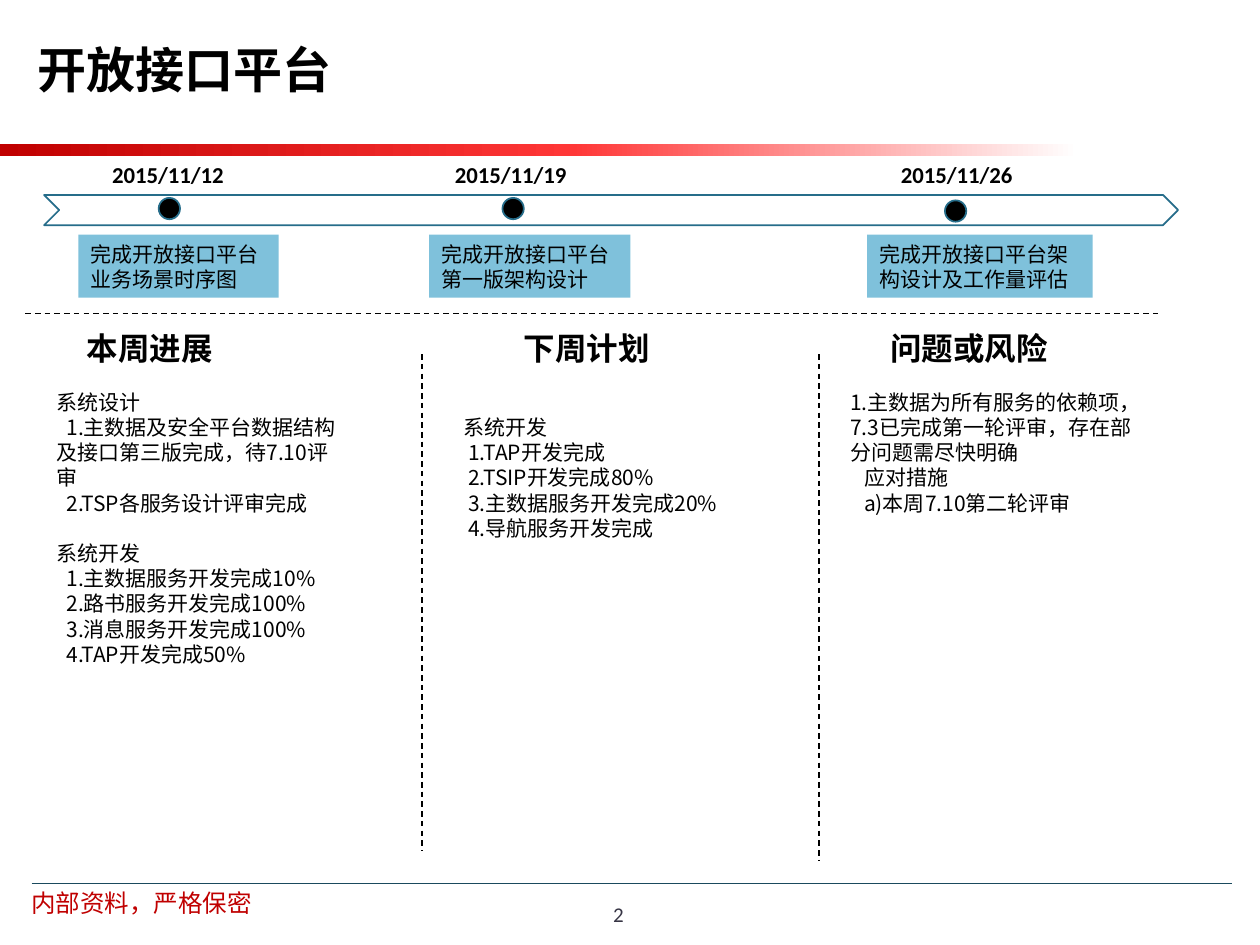
from copy import deepcopy

from lxml import etree
from pptx import Presentation
from pptx.dml.color import RGBColor
from pptx.enum.dml import MSO_LINE
from pptx.enum.shapes import MSO_CONNECTOR, MSO_SHAPE
from pptx.enum.text import MSO_ANCHOR, PP_ALIGN
from pptx.oxml.ns import qn
from pptx.util import Cm, Pt

STRAIGHT, DASH = MSO_CONNECTOR.STRAIGHT, MSO_LINE.DASH
RECTANGLE, CHEVRON, OVAL = MSO_SHAPE.RECTANGLE, MSO_SHAPE.CHEVRON, MSO_SHAPE.OVAL
LEFT, CENTER = PP_ALIGN.LEFT, PP_ALIGN.CENTER
TOP, MIDDLE = MSO_ANCHOR.TOP, MSO_ANCHOR.MIDDLE
CJK, LATIN = "Noto Sans CJK SC", "Calibri"
BLACK, RED, TEAL, SKY = "000000", "C00000", "266D8A", "7FC1DB"
LINE_FACTOR = 1.2
BODY_SIZE = 12

BAR_STOPS = [(0, RED), (53, "FF3737"), (100, "FFFFFF")]

# date, date left, dot left, dot top, label, label left, label width (cm)
MILESTONES = [
    ("2015/11/12", 1.98, 3.2, 3.99, "完成开放接口平台业务场景时序图", 1.58, 4.04),
    ("2015/11/19", 8.89, 10.13, 3.99, "完成开放接口平台第一版架构设计", 8.65, 4.06),
    ("2015/11/26", 17.88, 19.05, 4.04, "完成开放接口平台架构设计及工作量评估", 17.48, 4.55),
]

# Body lines are (text, first-line indent in cm, blank lines above)
COLUMNS = [
    {"heading": "本周进展", "heading_box": (1.5, 5.59), "left": 0.89, "height": 5.38,
     "lines": [("系统设计", 0, 0),
               ("1.主数据及安全平台数据结构及接口第三版完成，待7.10评审", 0.2, 0),
               ("2.TSP各服务设计评审完成", 0.2, 0),
               ("系统开发", 0, 1),
               ("1.主数据服务开发完成10%", 0.2, 0),
               ("2.路书服务开发完成100%", 0.2, 0),
               ("3.消息服务开发完成100%", 0.2, 0),
               ("4.TAP开发完成50%", 0.2, 0)]},
    {"heading": "下周计划", "heading_box": (10.31, 3.07), "left": 9.09, "height": 3.33,
     "lines": [("系统开发", 0, 1),
               ("1.TAP开发完成", 0.1, 0),
               ("2.TSIP开发完成80%", 0.1, 0),
               ("3.主数据服务开发完成20%", 0.1, 0),
               ("4.导航服务开发完成", 0.1, 0)]},
    {"heading": "问题或风险", "heading_box": (17.7, 3.71), "left": 16.89, "height": 2.82,
     "lines": [("1.主数据为所有服务的依赖项，7.3已完成第一轮评审，存在部分问题需尽快明确", 0, 0),
               ("应对措施", 0.28, 0),
               ("a)本周7.10第二轮评审", 0.28, 0)]},
]

# x1, y1, x2, y2 (cm)
DIVIDERS = [(0.51, 6.32, 23.34, 6.32), (8.51, 7.14, 8.51, 17.15),
            (16.51, 7.14, 16.51, 17.35)]


def color(value):
    """Return the colour for a hex string."""
    return RGBColor.from_string(value)


def add_shape(kind, box, fill=None, line=None):
    """Add a flat preset shape; box is left, top, width, height in cm."""
    shape = slide.shapes.add_shape(kind, *map(Cm, box))
    shape.shadow.inherit = False
    if fill:
        shape.fill.solid()
        shape.fill.fore_color.rgb = color(fill)
    else:
        shape.fill.background()
    if line:
        shape.line.color.rgb = color(line)
        shape.line.width = Pt(1)
    else:
        shape.line.fill.background()
    return shape


def add_line(ends, line_color, width, dash=None):
    """Add a straight line without a shadow."""
    line = slide.shapes.add_connector(STRAIGHT, *map(Cm, ends))
    line.line.color.rgb = color(line_color)
    line.line.width = Pt(width)
    if dash:
        line.line.dash_style = dash
    etree.SubElement(line._element.spPr, qn("a:effectLst"))


def set_text(shape, text, size, font=CJK, text_color=BLACK, bold=False,
             align=LEFT, anchor=TOP, wrap=True, side=0.25):
    """Fill a shape with text and format every run."""
    frame = shape.text_frame
    frame.text = text
    frame.word_wrap = wrap
    frame.vertical_anchor = anchor
    frame.margin_left = frame.margin_right = Cm(side)
    frame.margin_top = frame.margin_bottom = Cm(0.13)
    for paragraph in frame.paragraphs:
        paragraph.alignment = align
        paragraph.line_spacing = Pt(size * LINE_FACTOR)
        for run in paragraph.runs:
            run.font.size = Pt(size)
            run.font.bold = bold
            run.font.name = font
            run.font.color.rgb = color(text_color)
            east_asian = etree.SubElement(run.font._element, qn("a:ea"))
            east_asian.set("typeface", font)


def add_text(box, text, size, **style):
    """Add a text box with formatted text."""
    shape = slide.shapes.add_textbox(*map(Cm, box))
    set_text(shape, text, size, **style)
    return shape


def add_gradient_bar(box, stops):
    """Add a bar with a left-to-right gradient."""
    bar = add_shape(RECTANGLE, box)
    bar.fill.gradient()
    bar.fill.gradient_angle = 0
    stop_list = bar._element.spPr.find(".//" + qn("a:gsLst"))
    template = deepcopy(stop_list[0])
    for stop in list(stop_list):
        stop_list.remove(stop)
    for position, value in stops:
        stop = deepcopy(template)
        stop.set("pos", str(position * 1000))
        for child in list(stop):
            stop.remove(child)
        etree.SubElement(stop, qn("a:srgbClr")).set("val", value)
        stop_list.append(stop)


def add_column(column):
    """Add a heading and its indented list."""
    left, width = column["heading_box"]
    add_text((left, 6.5, width, 1.02), column["heading"], 18, bold=True, wrap=False)
    lines = column["lines"]
    body = add_text((column["left"], 7.72, 6.4, column["height"]),
                    "\n".join(text for text, _, _ in lines), BODY_SIZE)
    frame = body.text_frame
    line_height = Pt(BODY_SIZE * LINE_FACTOR)
    frame.margin_top += lines[0][2] * line_height
    for index, (paragraph, line) in enumerate(zip(frame.paragraphs, lines)):
        _, indent, blank_lines = line
        paragraph._p.get_or_add_pPr().set("indent", str(Cm(indent)))
        if index and blank_lines:
            paragraph.space_before = Pt(BODY_SIZE * LINE_FACTOR * blank_lines)


presentation = Presentation()
presentation.slide_width, presentation.slide_height = Cm(25.4), Cm(19.05)
slide = presentation.slides.add_slide(presentation.slide_layouts[6])

add_gradient_bar((0, 2.9, 21.74, 0.25), BAR_STOPS)
add_line((0.64, 17.8, 24.84, 17.8), "1A4A5D", 0.5)
add_text((0.3, 17.78, 5.11, 0.91), "内部资料，严格保密", 14, text_color=RED,
         align=CENTER, wrap=False, side=0.28)
add_text((0.51, 0.2, 22.86, 2.36), "开放接口平台", 28, bold=True, anchor=MIDDLE)
add_text((11.86, 17.91, 1.22, 1.02), "2", 12, font=LATIN, text_color="373545",
         align=CENTER, anchor=MIDDLE)

for ends in DIVIDERS:
    add_line(ends, BLACK, 0.8, DASH)

add_shape(CHEVRON, (0.89, 3.93, 22.86, 0.61), line=TEAL)
for date, date_left, dot_left, dot_top, label, label_left, label_width in MILESTONES:
    add_text((date_left, 3.12, 2.84, 0.84), date, 13, font=LATIN, bold=True,
             wrap=False, side=0.28)
    add_shape(OVAL, (dot_left, dot_top, 0.43, 0.43), BLACK, TEAL)
    label_box = add_shape(RECTANGLE, (label_left, 4.73, label_width, 1.27), SKY)
    set_text(label_box, label, BODY_SIZE)

for column in COLUMNS:
    add_column(column)

presentation.save("out.pptx")
